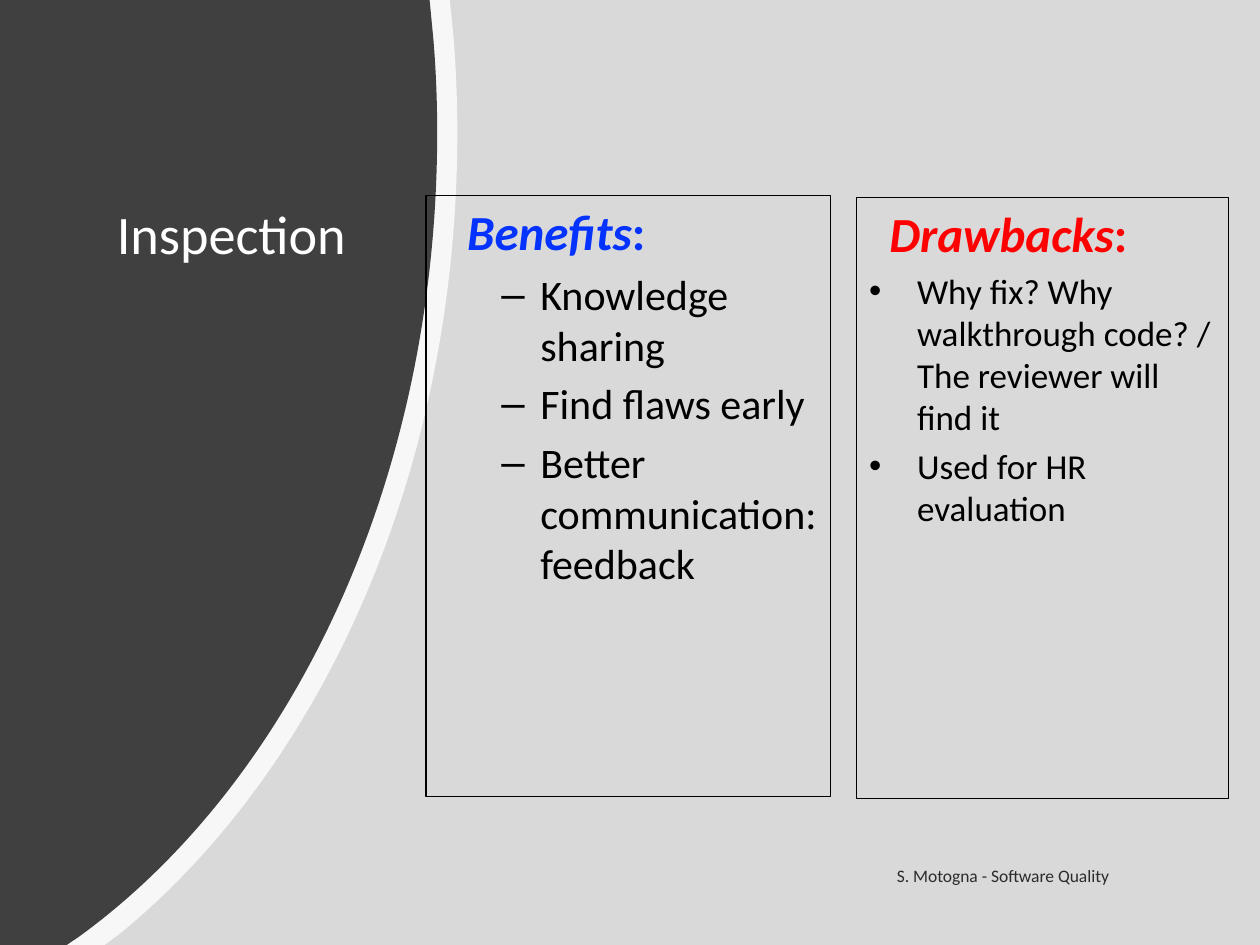
from pptx import Presentation
from pptx.dml.color import RGBColor
from pptx.enum.shapes import MSO_SHAPE
from pptx.enum.text import MSO_ANCHOR, PP_ALIGN
from pptx.oxml.ns import qn
from pptx.util import Inches, Pt
from lxml import etree

RECTANGLE = MSO_SHAPE.RECTANGLE
TOP, MIDDLE = MSO_ANCHOR.TOP, MSO_ANCHOR.MIDDLE
LEFT, CENTER, RIGHT = PP_ALIGN.LEFT, PP_ALIGN.CENTER, PP_ALIGN.RIGHT

COLORS = {
    "background": "D9D9D9",
    "dark": "404040",
    "white": "FFFFFF",
    "black": "000000",
    "benefits": "0432FF",
    "drawbacks": "FF0000",
}


def color(name):
    return RGBColor.from_string(COLORS[name])


def set_alpha(element, percent):
    for color_element in element.iter(qn("a:srgbClr")):
        etree.SubElement(color_element, qn("a:alpha"), val=str(percent * 1000))


class SlideBuilder:
    font = "Calibri"

    def __init__(self, slide):
        self.slide = slide

    def style(self, shape, fill=None, line=None):
        shape.shadow.inherit = False
        if fill:
            shape.fill.solid()
            shape.fill.fore_color.rgb = color(fill)
        else:
            shape.fill.background()
        if line:
            shape.line.color.rgb = color(line)
            shape.line.width = Pt(0.75)
        else:
            shape.line.fill.background()
        return shape

    def rectangle(self, box, fill=None, line=None):
        shape = self.slide.shapes.add_shape(RECTANGLE, *map(Inches, box))
        return self.style(shape, fill, line)

    def arc_panel(self, top_x, start, curves, bottom_x, fill):
        points = [(top_x, 0), start] + [curve[-1] for curve in curves]
        points += [(bottom_x, 7.5), (0, 7.5)]
        builder = self.slide.shapes.build_freeform(0, 0)
        builder.add_line_segments(
            [(Inches(x), Inches(y)) for x, y in points], close=True)
        shape = self.style(builder.convert_to_shape(), fill)
        segments = list(shape._element.iter(qn("a:lnTo")))[2:]
        for segment, curve in zip(segments, curves):
            segment.tag = qn("a:cubicBezTo")
            for position, (x, y) in enumerate(curve[:2]):
                control = etree.Element(qn("a:pt"), x=str(Inches(x)), y=str(Inches(y)))
                segment.insert(position, control)
        return shape

    def format(self, paragraph, size, fill, alignment=LEFT):
        paragraph.alignment = alignment
        paragraph.font.name = self.font
        paragraph.font.size = Pt(size)
        paragraph.font.color.rgb = color(fill)

    def text(self, box, wording, size, fill, alignment, anchor=TOP):
        frame = self.slide.shapes.add_textbox(*map(Inches, box)).text_frame
        frame.word_wrap = True
        frame.vertical_anchor = anchor
        paragraph = frame.paragraphs[0]
        paragraph.text = wording
        self.format(paragraph, size, fill, alignment)
        return paragraph

    def bullet(self, paragraph, character, margin, hanging):
        properties = paragraph._p.get_or_add_pPr()
        properties.set("marL", str(Inches(margin)))
        properties.set("indent", str(-Inches(hanging)))
        etree.SubElement(properties, qn("a:buFont"), typeface="Arial")
        etree.SubElement(properties, qn("a:buChar"), char=character)

    def list_box(self, box, heading, heading_fill, heading_margin,
                 items, size, character, margin, hanging, level=0):
        frame = self.rectangle(box, line="black").text_frame
        frame.word_wrap = True
        frame.vertical_anchor = TOP
        title = frame.paragraphs[0]
        self.format(title, 28, heading_fill)
        title.font.bold = True
        title._p.get_or_add_pPr().set("marL", str(Inches(heading_margin)))
        for wording, italic in ((heading, True), (":", False)):
            run = title.add_run()
            run.text = wording
            run.font.italic = italic
        for item in items:
            paragraph = frame.add_paragraph()
            paragraph.text = item
            paragraph.level = level
            paragraph.space_before = Pt(size * 0.2)
            self.bullet(paragraph, character, margin, hanging)
            self.format(paragraph, size, "black")


presentation = Presentation()
presentation.slide_width = Inches(10)
presentation.slide_height = Inches(7.5)
slide = presentation.slides.add_slide(presentation.slide_layouts[6])
builder = SlideBuilder(slide)

builder.rectangle((0, 0, 10, 7.5), fill="background")
rim = builder.arc_panel(
    3.57, (3.6, 0.29),
    [((3.62, 0.54), (3.63, 0.8), (3.63, 1.05)),
     ((3.63, 3.75), (2.55, 6.11), (0.94, 7.42))],
    0.83, "white")
set_alpha(rim._element.spPr, 80)
builder.arc_panel(
    3.41, (3.44, 0.31),
    [((3.46, 0.55), (3.47, 0.8), (3.47, 1.05)),
     ((3.47, 3.81), (2.32, 6.21), (0.62, 7.44))],
    0.53, "dark")

builder.text((0.66, 1.54, 2.35, 2.36), "Inspection", 31, "white", CENTER)
builder.list_box(
    (3.38, 1.55, 3.21, 4.77), "Benefits", "benefits", 0.23,
    ["Knowledge sharing", "Find flaws early", "Better communication: feedback"],
    24, "–", 0.81, 0.31, level=1)
builder.list_box(
    (6.8, 1.57, 2.95, 4.77), "Drawbacks", "drawbacks", 0.16,
    ["Why fix? Why walkthrough code? / The reviewer will find it",
     "Used for HR evaluation"],
    20, "•", 0.38, 0.38)
footer = builder.text((3.45, 6.75, 5.45, 0.4), "S. Motogna - Software Quality",
                      10, "black", RIGHT, MIDDLE)
set_alpha(footer._p, 80)

presentation.save("out.pptx")
